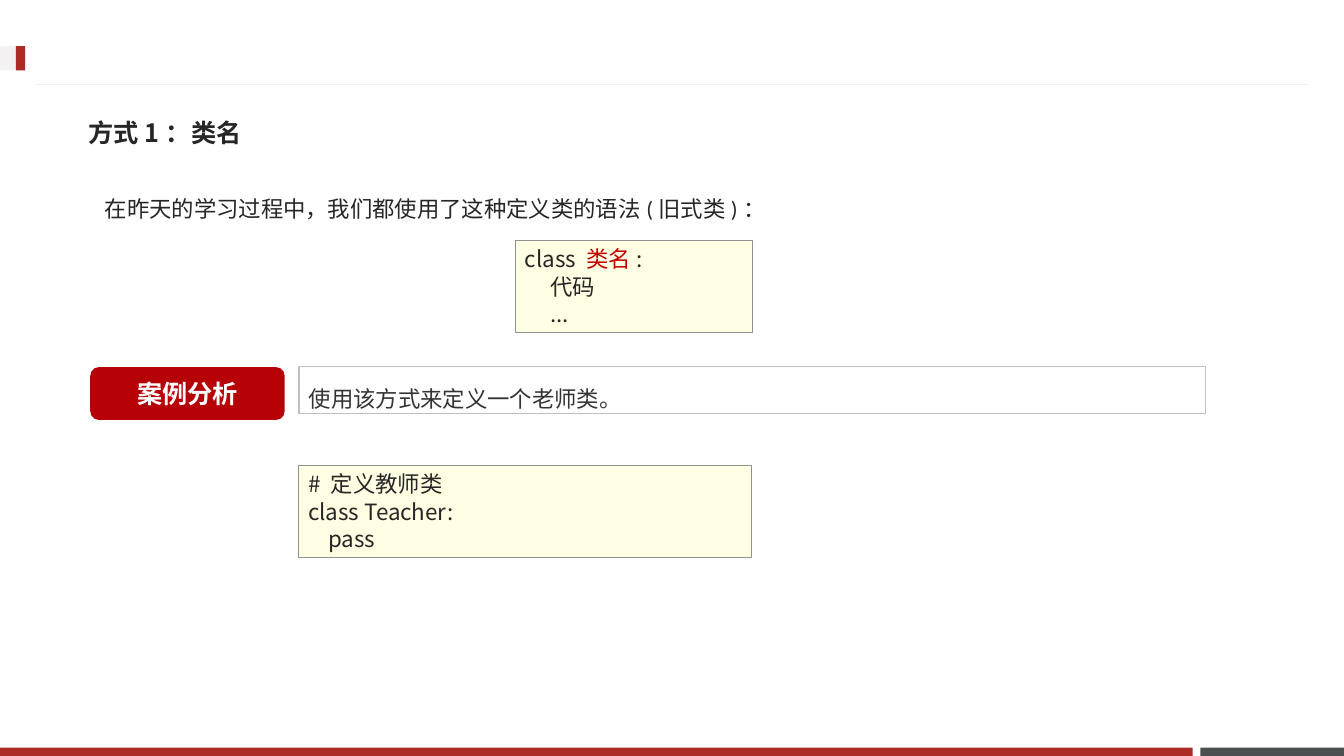
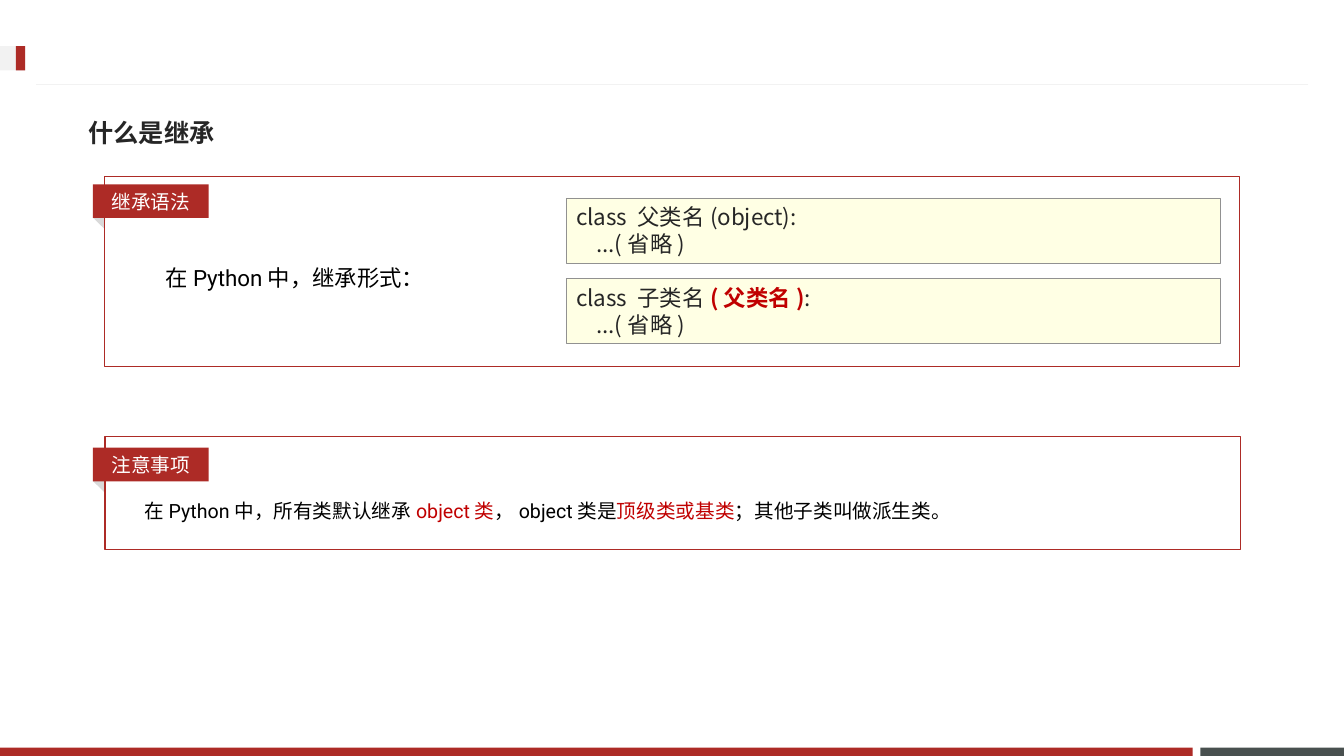
"""Build two lecture slides about defining Python classes and inheritance."""
from dataclasses import dataclass
from typing import Optional

import lxml.etree
import pptx
import pptx.dml.color
import pptx.enum.shapes
import pptx.enum.text
import pptx.oxml.ns
import pptx.util

SHAPE = pptx.enum.shapes.MSO_SHAPE
ANCHOR = pptx.enum.text.MSO_ANCHOR
ALIGN = pptx.enum.text.PP_ALIGN

WIDTH, HEIGHT = pptx.util.Inches(13.333), pptx.util.Inches(7.5)
COLUMNS, ROWS = 160, 90

BRAND, SLATE, PALE, FOLD = "AD2B26", "49504F", "F2F2F2", "D9D9D9"
INK, BODY, BLACK, WHITE = "262626", "333333", "000000", "FFFFFF"
ACCENT, BADGE, CODE_FILL = "C00000", "B60206", "FFFFE4"
CODE_EDGE, BOX_EDGE = "919191", "BFBFBF"
HEAVY = "Noto Sans CJK JP"


@dataclass(frozen=True)
class Area:
    left: float
    top: float
    width: float
    height: float


@dataclass(frozen=True)
class Style:
    size: float
    font: str
    color: str
    bold: bool = False
    align: Optional[ALIGN] = None
    anchor: ANCHOR = ANCHOR.TOP
    spacing: Optional[object] = None


@dataclass(frozen=True)
class Run:
    text: str
    color: str = ""
    bold: bool = False


@dataclass(frozen=True)
class Line:
    runs: tuple[Run, ...]
    indent: float = 0


@dataclass(frozen=True)
class Panel:
    label: str
    tag_top: float
    frame: Area


TITLE = Style(18, HEAVY, INK, bold=True, anchor=ANCHOR.MIDDLE)
CODE = Style(16, HEAVY, INK, spacing=pptx.util.Pt(19.4))
INTRO = Style(16, "Calibri", INK, spacing=1.5)
TASK = Style(16, "Open Sans", BODY, spacing=1.5)
LEAD = Style(16, "Roboto", BLACK, spacing=1.5)
NOTE = Style(14, "Roboto", BLACK, spacing=1.5)
TAG = Style(14, "Roboto", WHITE, align=ALIGN.CENTER, anchor=ANCHOR.MIDDLE)
BUTTON = Style(18, "Roboto", WHITE, bold=True, align=ALIGN.CENTER, anchor=ANCHOR.MIDDLE)

PANELS = (
    Panel("继承语法", 21.95, Area(12.4, 21.05, 135.2, 22.6)),
    Panel("注意事项", 53.3, Area(12.5, 52, 135.2, 13.4)),
)


def rgb(value: str) -> pptx.dml.color.RGBColor:
    """Turn a hex string into a colour."""
    return pptx.dml.color.RGBColor.from_string(value)


def x(column: float) -> int:
    """Give the horizontal length of a number of columns."""
    return round(WIDTH * column / COLUMNS)


def y(row: float) -> int:
    """Give the vertical length of a number of rows."""
    return round(HEIGHT * row / ROWS)


def place(area: Area) -> tuple[int, int, int, int]:
    """Turn a grid area into slide lengths."""
    return x(area.left), y(area.top), x(area.width), y(area.height)


def plain(text: str, indent: float = 0) -> Line:
    """Make a line of one run."""
    return Line((Run(text),), indent)


def write(shape, lines: tuple[Line, ...], style: Style) -> None:
    """Fill a shape with styled lines of text."""
    frame = shape.text_frame
    frame.word_wrap = True
    frame.vertical_anchor = style.anchor
    for index, line in enumerate(lines):
        paragraph = frame.paragraphs[0] if index == 0 else frame.add_paragraph()
        paragraph.alignment = style.align or ALIGN.LEFT
        paragraph.line_spacing = style.spacing
        paragraph.font.size = pptx.util.Pt(style.size)
        paragraph.font.name = style.font
        paragraph.font.bold = style.bold
        paragraph.font.color.rgb = rgb(style.color)
        if line.indent:
            paragraph._p.get_or_add_pPr().set("marL", str(x(line.indent)))
        for part in line.runs:
            run = paragraph.add_run()
            run.text = part.text
            if part.color:
                run.font.color.rgb = rgb(part.color)
            if part.bold:
                run.font.bold = True


def add_block(slide, area: Area, fill: str = "", edge: str = "",
              weight: float = 0.75, kind: SHAPE = SHAPE.RECTANGLE):
    """Draw a preset shape with optional fill and outline."""
    shape = slide.shapes.add_shape(kind, *place(area))
    shape.shadow.inherit = False
    if fill:
        shape.fill.solid()
        shape.fill.fore_color.rgb = rgb(fill)
    else:
        shape.fill.background()
    if edge:
        shape.line.color.rgb = rgb(edge)
        shape.line.width = pptx.util.Pt(weight)
    else:
        shape.line.fill.background()
    return shape


def add_text(slide, area: Area, line: Line, style: Style) -> None:
    """Place a line of text in a text box."""
    write(slide.shapes.add_textbox(*place(area)), (line,), style)


def add_code(slide, area: Area, *lines: Line) -> None:
    """Draw a box of program code."""
    write(add_block(slide, area, CODE_FILL, CODE_EDGE, 0.25), lines, CODE)


def add_panel(slide, panel: Panel) -> None:
    """Draw an outlined panel with a folded label."""
    fold = add_block(slide, Area(11.2, panel.tag_top + 3.7, 1.9, 1.1), FOLD,
                     kind=SHAPE.ISOSCELES_TRIANGLE)
    fold.rotation = 44.2
    add_block(slide, panel.frame, edge=BRAND)
    tag = add_block(slide, Area(11.05, panel.tag_top, 13.8, 4), BRAND)
    write(tag, (plain(panel.label),), TAG)


def add_slide(presentation, title: str):
    """Add a slide with the shared bands, rule and title."""
    slide = presentation.slides.add_slide(presentation.slide_layouts[6])
    add_block(slide, Area(142.9, 89, 17.1, 1), SLATE)
    add_block(slide, Area(0, 89, 142, 1), BRAND)
    rule = slide.shapes.add_connector(
        pptx.enum.shapes.MSO_CONNECTOR.STRAIGHT, x(155.75), y(10.05), x(4.25), y(10.05))
    rule.line.color.rgb = rgb(PALE)
    rule.line.width = pptx.util.Pt(0.75)
    lxml.etree.SubElement(rule._element.spPr, pptx.oxml.ns.qn("a:effectLst"))
    add_block(slide, Area(0, 5.5, 3, 2.9), PALE)
    add_block(slide, Area(1.9, 5.5, 1.1, 2.9), BRAND)
    add_text(slide, Area(9.35, 12.4, 140.4, 6.8), plain(title), TITLE)
    return slide


def build_class_slide(presentation) -> None:
    """Show how a class is defined by its name alone."""
    slide = add_slide(presentation, "方式1：类名")
    add_text(slide, Area(11.3, 21.1, 100, 5.5),
             plain("在昨天的学习过程中，我们都使用了这种定义类的语法(旧式类)："), INTRO)
    add_code(slide, Area(61.3, 28.6, 28.3, 10.9),
             Line((Run("class "), Run("类名", ACCENT), Run(":"))),
             plain("代码", 3), plain("...", 3))
    button = add_block(slide, Area(10.75, 43.7, 23.15, 6.3), BADGE,
                       kind=SHAPE.ROUNDED_RECTANGLE)
    write(button, (plain("案例分析"),), BUTTON)
    task = add_block(slide, Area(35.6, 43.65, 107.9, 5.6), edge=BOX_EDGE)
    write(task, (plain("使用该方式来定义一个老师类。"),), TASK)
    add_code(slide, Area(35.5, 55.4, 53.9, 10.95),
             plain("# 定义教师类"), plain("class Teacher:"), plain("pass", 2.4))


def build_inheritance_slide(presentation) -> None:
    """Show the syntax of inheritance and a remark on it."""
    slide = add_slide(presentation, "什么是继承")
    for panel in PANELS:
        add_panel(slide, panel)
    add_text(slide, Area(18.5, 29.3, 46.7, 6), plain("在Python中，继承形式："), LEAD)
    headers = (
        plain("class 父类名(object):"),
        Line((Run("class 子类名"), Run("(父类名)", ACCENT, True), Run(":"))),
    )
    for index, header in enumerate(headers):
        add_code(slide, Area(67.4, 23.55 + 9.6 * index, 77.9, 7.75),
                 header, plain("...(省略)", 2.4))
    remark = Line((
        Run("在Python中，所有类默认继承"), Run("object类", ACCENT),
        Run("，object类是"), Run("顶级类或基类", ACCENT),
        Run("；其他子类叫做派生类。"),
    ))
    add_text(slide, Area(16, 57.4, 128.3, 5), remark, NOTE)


def main() -> None:
    """Build and save the presentation."""
    presentation = pptx.Presentation()
    presentation.slide_width, presentation.slide_height = WIDTH, HEIGHT
    build_class_slide(presentation)
    build_inheritance_slide(presentation)
    presentation.save("out.pptx")


if __name__ == "__main__":
    main()
